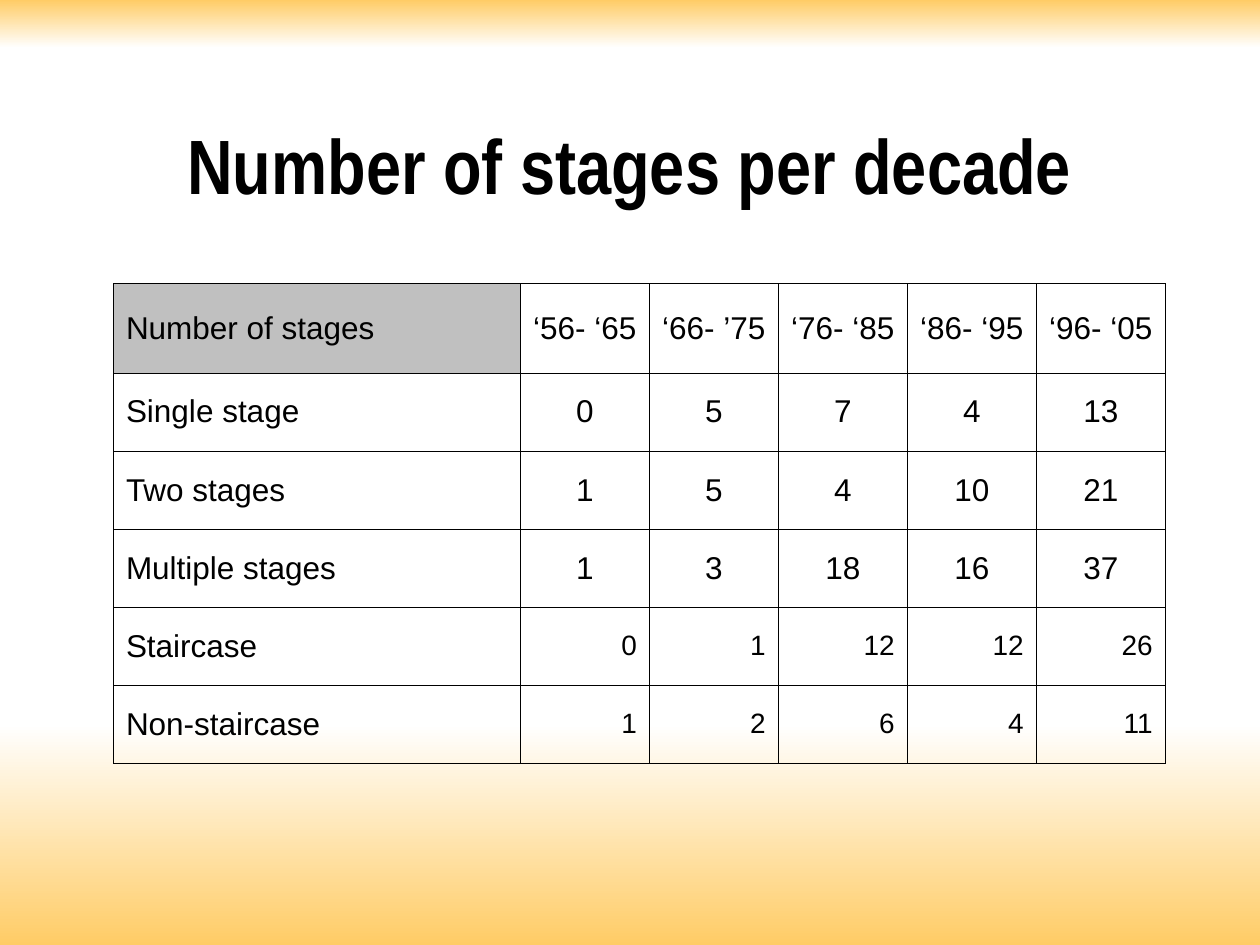
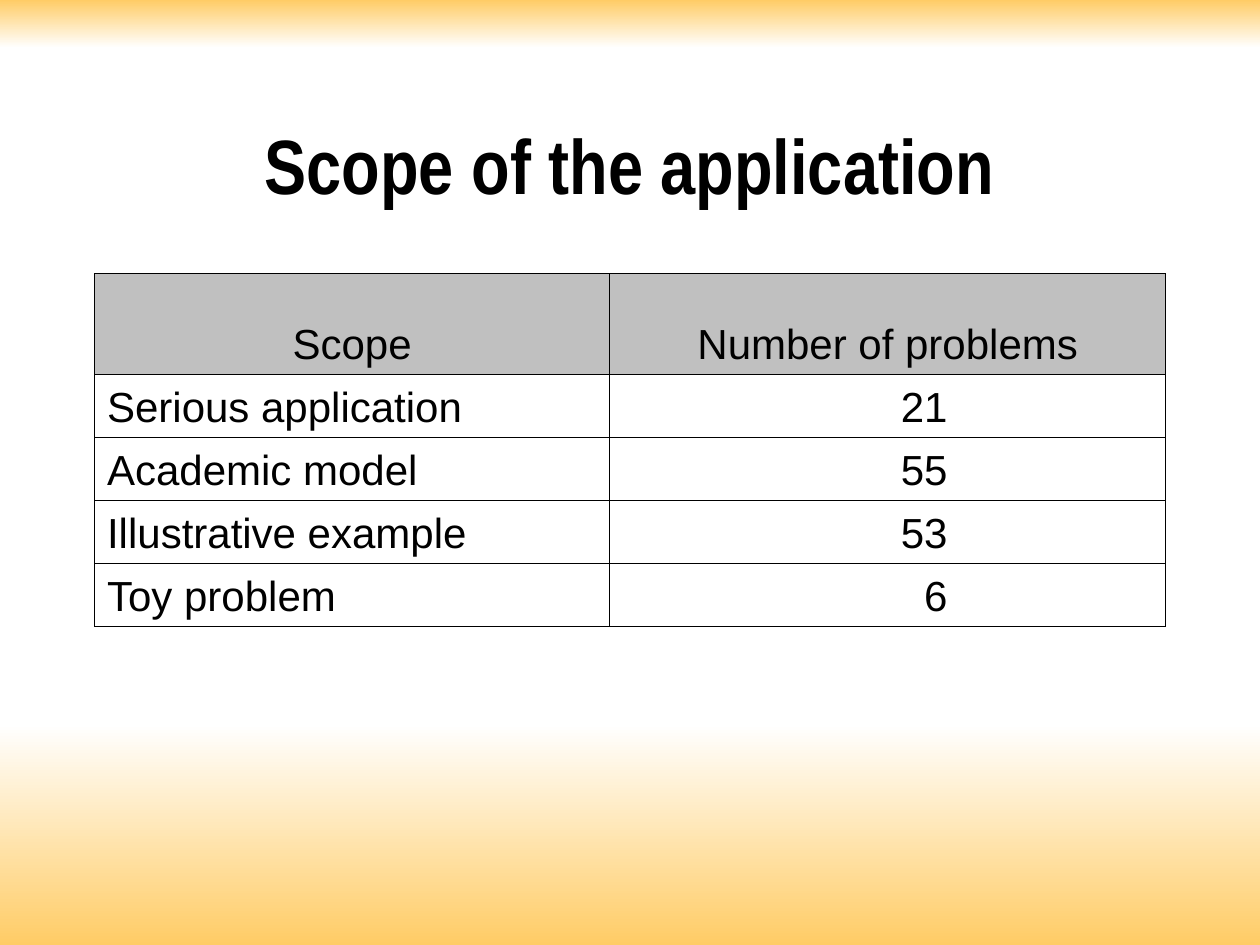
from dataclasses import dataclass

from lxml.etree import SubElement
from pptx import Presentation
from pptx.dml.color import RGBColor as RGB
from pptx.enum.shapes import MSO_SHAPE as SHAPE
from pptx.enum.text import MSO_ANCHOR as ANCHOR, PP_ALIGN as ALIGN
from pptx.oxml.ns import qn
from pptx.util import Inches, Pt


@dataclass(frozen=True)
class Theme:
    ink: RGB = RGB(0, 0, 0)
    paper: RGB = RGB(255, 255, 255)
    amber: RGB = RGB(0xFF, 0xCC, 0x66)
    header: RGB = RGB(0xC0, 0xC0, 0xC0)
    title_font: str = "Arial Narrow"
    body_font: str = "Arial"
    title_size: int = 44
    scope_size: int = 24
    stage_size: int = 18
    detail_size: int = 16
    border: float = 0.45


theme = Theme()


def write(paragraph, text, align, font_format):
    paragraph.alignment = align
    run = paragraph.add_run()
    run.text = text
    run.font.color.rgb = theme.ink
    for attribute, value in font_format.items():
        setattr(run.font, attribute, value)


def draw_borders(cell):
    properties = cell._tc.get_or_add_tcPr()
    for side in ("lnL", "lnR", "lnT", "lnB"):
        line = SubElement(properties, qn(f"a:{side}"), w=str(Pt(theme.border)))
        solid = SubElement(line, qn("a:solidFill"))
        SubElement(solid, qn("a:srgbClr"), val=str(theme.ink))


bands = [
    ((0, 5.75, 10, 1.75), (theme.paper, theme.amber)),
    ((0, 0, 10, 0.38), (theme.amber, theme.paper)),
]

decades = ["‘56- ‘65", "‘66- ’75", "‘76- ‘85", "‘86- ‘95", "‘96- ‘05"]
label_width, stages_width = 3.23, 8.35
decade_width = (stages_width - label_width) / len(decades)

pages = [
    {
        "title": "Number of stages per decade",
        "rows": [
            ["Number of stages", *decades],
            ["Single stage", 0, 5, 7, 4, 13],
            ["Two stages", 1, 5, 4, 10, 21],
            ["Multiple stages", 1, 3, 18, 16, 37],
            ["Staircase", 0, 1, 12, 12, 26],
            ["Non-staircase", 1, 2, 6, 4, 11],
        ],
        "origin": (0.9, 2.25),
        "widths": [label_width] + [decade_width] * len(decades),
        "header_height": 0.71,
        "row_height": 0.62,
        "anchor": ANCHOR.MIDDLE,
        "size": theme.stage_size,
        "value_size": theme.detail_size,
        "header_align": (ALIGN.LEFT, ALIGN.CENTER),
        "shaded_columns": 1,
        "first_right_row": 4,
        "value_margin": 0.1,
    },
    {
        "title": "Scope of the application",
        "rows": [
            ["Scope", "Number of problems"],
            ["Serious application", 21],
            ["Academic model", 55],
            ["Illustrative example", 53],
            ["Toy problem", 6],
        ],
        "origin": (0.75, 2.17),
        "widths": [4.09, 4.41],
        "header_height": 0.8,
        "row_height": 0.5,
        "anchor": ANCHOR.BOTTOM,
        "size": theme.scope_size,
        "value_size": theme.scope_size,
        "header_align": (ALIGN.CENTER, ALIGN.CENTER),
        "shaded_columns": 2,
        "first_right_row": 1,
        "value_margin": 1.73,
    },
]

deck = Presentation()
deck.slide_width, deck.slide_height = Inches(10), Inches(7.5)

for page in pages:
    slide = deck.slides.add_slide(deck.slide_layouts[6])

    for box, colours in bands:
        band = slide.shapes.add_shape(SHAPE.RECTANGLE, *map(Inches, box))
        band.shadow.inherit = False
        band.line.fill.background()
        band.fill.gradient()
        band.fill.gradient_angle = 270
        for stop, colour in zip(band.fill.gradient_stops, colours):
            stop.color.rgb = colour

    title = slide.shapes.add_textbox(*map(Inches, (0.75, 0.67, 8.5, 1.25))).text_frame
    title.word_wrap = True
    title.vertical_anchor = ANCHOR.MIDDLE
    write(title.paragraphs[0], page["title"], ALIGN.CENTER,
          {"name": theme.title_font, "size": Pt(theme.title_size), "bold": True})

    rows, widths = page["rows"], page["widths"]
    heights = [page["header_height"]] + [page["row_height"]] * (len(rows) - 1)
    extent = (*page["origin"], sum(widths), sum(heights))
    table = slide.shapes.add_table(len(rows), len(widths), *map(Inches, extent)).table
    table.first_row = table.horz_banding = False
    for column, width in zip(table.columns, widths):
        column.width = Inches(width)
    for row, height in zip(table.rows, heights):
        row.height = Inches(height)

    for r, values in enumerate(rows):
        for c, value in enumerate(values):
            cell = table.cell(r, c)
            draw_borders(cell)
            cell.vertical_anchor = page["anchor"]
            if r == 0 and c < page["shaded_columns"]:
                cell.fill.solid()
                cell.fill.fore_color.rgb = theme.header
            else:
                cell.fill.background()

            size = page["size"]
            if r == 0:
                align = page["header_align"][min(c, 1)]
            elif c == 0:
                align = ALIGN.LEFT
            elif r < page["first_right_row"]:
                align = ALIGN.CENTER
            else:
                align, size = ALIGN.RIGHT, page["value_size"]
                cell.margin_right = Inches(page["value_margin"])
            write(cell.text_frame.paragraphs[0], str(value), align,
                  {"name": theme.body_font, "size": Pt(size), "bold": False})

deck.save("out.pptx")
